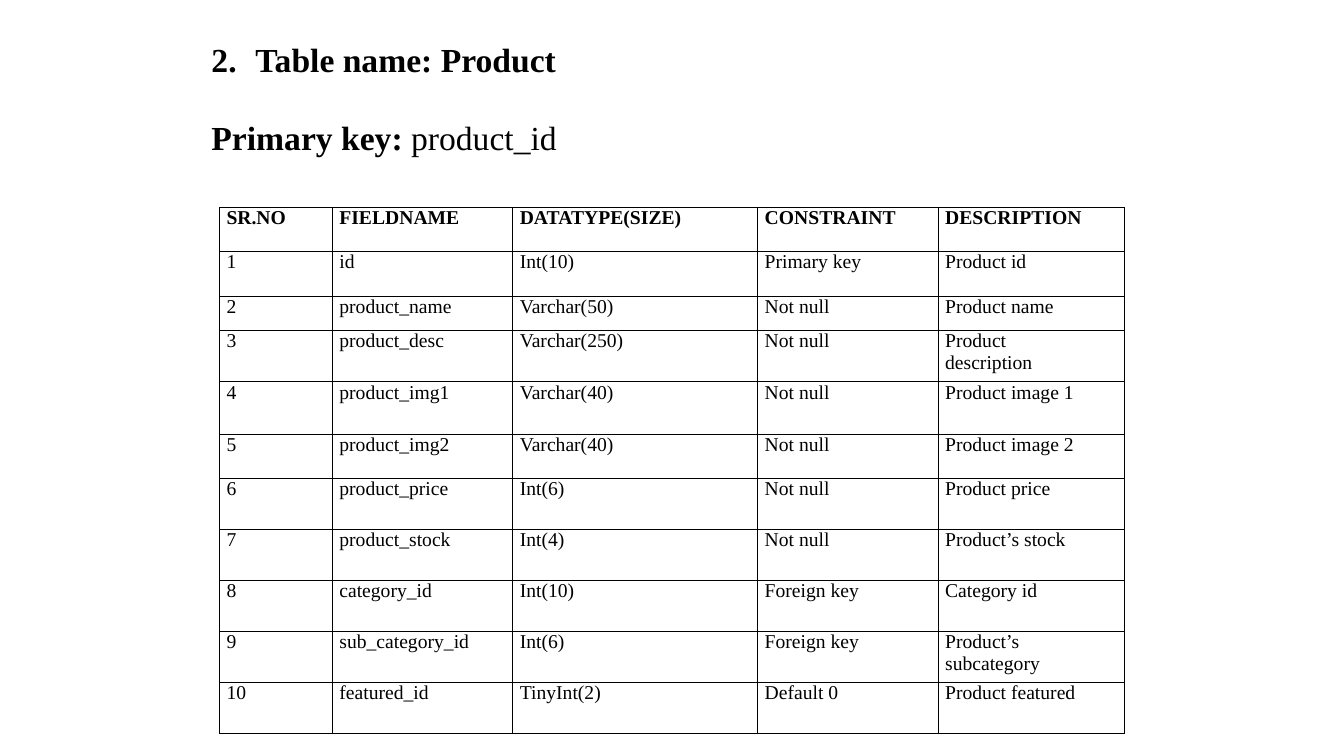
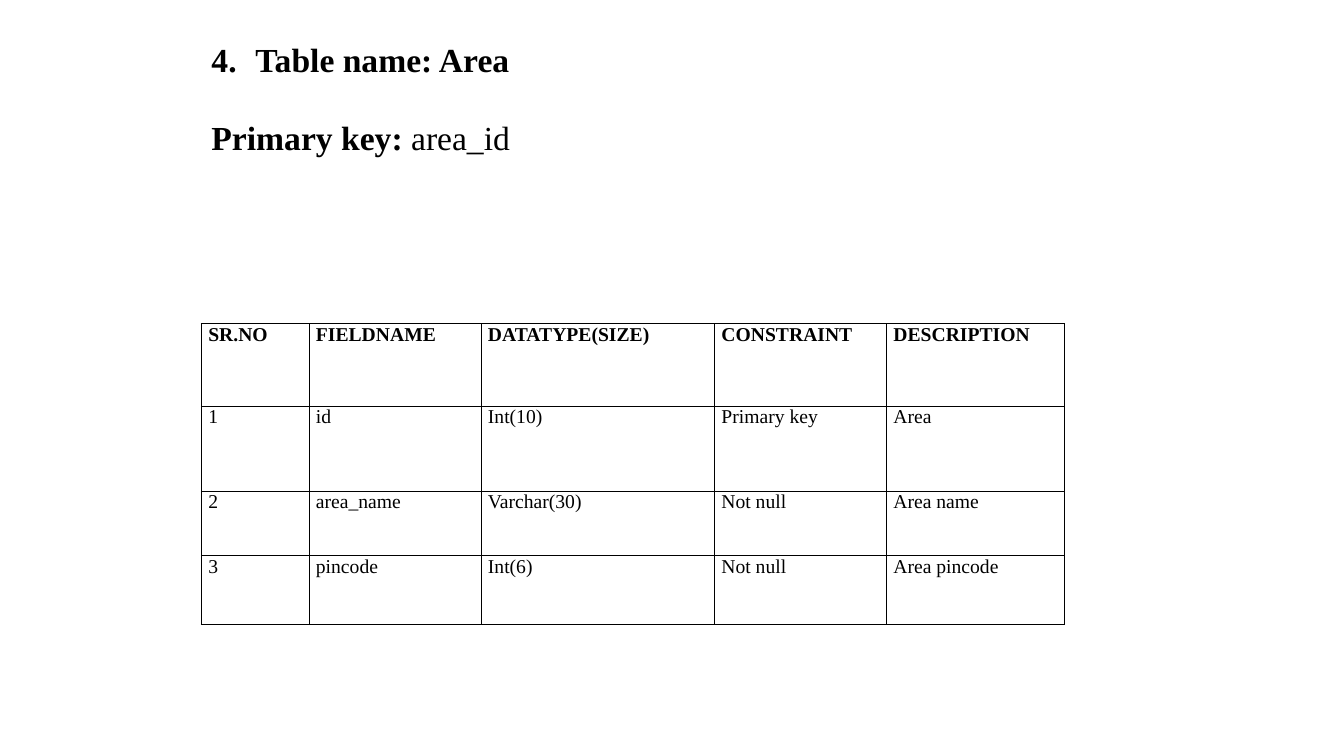
import pptx
import pptx.dml.color
import pptx.enum.text
import pptx.oxml
import pptx.oxml.ns
import pptx.util

Pt = pptx.util.Pt

# Shared style
FONT = "Times New Roman"
INK = "000000"
TITLE_SIZE, CELL_SIZE = 24, 14
TITLE_BOX = (144, 9.7, 689, 121)
TITLE_GAP = 26.7
NUMBER_INDENT = 31.4
CELL_INSET = 5
DESCRIPTION_RIGHT_INSET = 25
BORDER_WIDTH = 0.58
HEADERS = ("SR.NO", "FIELDNAME", "DATATYPE(SIZE)", "CONSTRAINT", "DESCRIPTION")
COLUMN_SHARES = (1.12, 1.79, 2.43, 1.79, 1.85)

# Content
PRODUCT_FIELDS = (
    ("id", "Int(10)", "Primary key", "Product id"),
    ("product_name", "Varchar(50)", "Not null", "Product name"),
    ("product_desc", "Varchar(250)", "Not null", "Product description"),
    ("product_img1", "Varchar(40)", "Not null", "Product image 1"),
    ("product_img2", "Varchar(40)", "Not null", "Product image 2"),
    ("product_price", "Int(6)", "Not null", "Product price"),
    ("product_stock", "Int(4)", "Not null", "Product’s stock"),
    ("category_id", "Int(10)", "Foreign key", "Category id"),
    ("sub_category_id", "Int(6)", "Foreign key", "Product’s subcategory"),
    ("featured_id", "TinyInt(2)", "Default 0", "Product featured"),
)
AREA_FIELDS = (
    ("id", "Int(10)", "Primary key", "Area"),
    ("area_name", "Varchar(30)", "Not null", "Area name"),
    ("pincode", "Int(6)", "Not null", "Area pincode"),
)
PRODUCT_ROW_HEIGHTS = (31.2, 32.3, 24.4, 36.6, 37.6, 31.5) + (36.4,) * 5
AREA_ROW_HEIGHTS = (59, 60.5, 46.2, 49)


def color(hex_string):
    return pptx.dml.color.RGBColor.from_string(hex_string)


def add_run(paragraph, text, size, bold=False):
    run = paragraph.add_run()
    run.text = text
    run.font.name = FONT
    run.font.size = Pt(size)
    run.font.bold = bold
    run.font.color.rgb = color(INK)


def add_title(slide, number, table_name, primary_key):
    text_frame = slide.shapes.add_textbox(*map(Pt, TITLE_BOX)).text_frame
    text_frame.word_wrap = True
    text_frame.vertical_anchor = pptx.enum.text.MSO_ANCHOR.MIDDLE

    # The number hangs to the left of the table name
    name_line = text_frame.paragraphs[0]
    properties = name_line._p.get_or_add_pPr()
    properties.set("marL", str(Pt(NUMBER_INDENT)))
    properties.set("indent", str(-Pt(NUMBER_INDENT)))
    add_run(name_line, f"{number}.\tTable name: {table_name}", TITLE_SIZE, bold=True)

    key_line = text_frame.add_paragraph()
    key_line.space_before = Pt(TITLE_GAP)
    add_run(key_line, "Primary key: ", TITLE_SIZE, bold=True)
    add_run(key_line, primary_key, TITLE_SIZE)


def add_borders(cell):
    properties = cell._tc.get_or_add_tcPr()
    for side in ("lnL", "lnR", "lnT", "lnB"):
        properties.append(pptx.oxml.parse_xml(
            f'<a:{side} {pptx.oxml.ns.nsdecls("a")} w="{Pt(BORDER_WIDTH)}">'
            f'<a:solidFill><a:srgbClr val="{INK}"/></a:solidFill></a:{side}>'))


def fill_cell(cell, text, bold, right_inset):
    add_borders(cell)
    cell.fill.background()
    cell.margin_left, cell.margin_right = Pt(CELL_INSET), Pt(right_inset)
    cell.margin_top = cell.margin_bottom = 0
    add_run(cell.text_frame.paragraphs[0], text, CELL_SIZE, bold)


def add_field_table(slide, left, top, width, row_heights, fields):
    rows = [HEADERS] + [(str(number), *field) for number, field in enumerate(fields, 1)]
    table = slide.shapes.add_table(
        len(rows), len(HEADERS), Pt(left), Pt(top), Pt(width), Pt(sum(row_heights))).table
    table.horz_banding = False
    for column, share in zip(table.columns, COLUMN_SHARES):
        column.width = Pt(width * share / sum(COLUMN_SHARES))
    for row_index, (height, texts) in enumerate(zip(row_heights, rows)):
        table.rows[row_index].height = Pt(height)
        is_header = row_index == 0
        for column_index, text in enumerate(texts):
            is_description = not is_header and column_index == len(HEADERS) - 1
            fill_cell(table.cell(row_index, column_index), text, is_header,
                      DESCRIPTION_RIGHT_INSET if is_description else 0)


def main():
    presentation = pptx.Presentation()
    presentation.slide_width, presentation.slide_height = Pt(960), Pt(540)
    blank_layout = presentation.slide_layouts[6]

    # Product table
    slide = presentation.slides.add_slide(blank_layout)
    add_title(slide, 2, "Product", "product_id")
    add_field_table(slide, 156.8, 148.2, 646.6, PRODUCT_ROW_HEIGHTS, PRODUCT_FIELDS)

    # Area table
    slide = presentation.slides.add_slide(blank_layout)
    add_title(slide, 4, "Area", "area_id")
    add_field_table(slide, 143.8, 231.3, 616.4, AREA_ROW_HEIGHTS, AREA_FIELDS)

    presentation.save("out.pptx")


if __name__ == "__main__":
    main()
